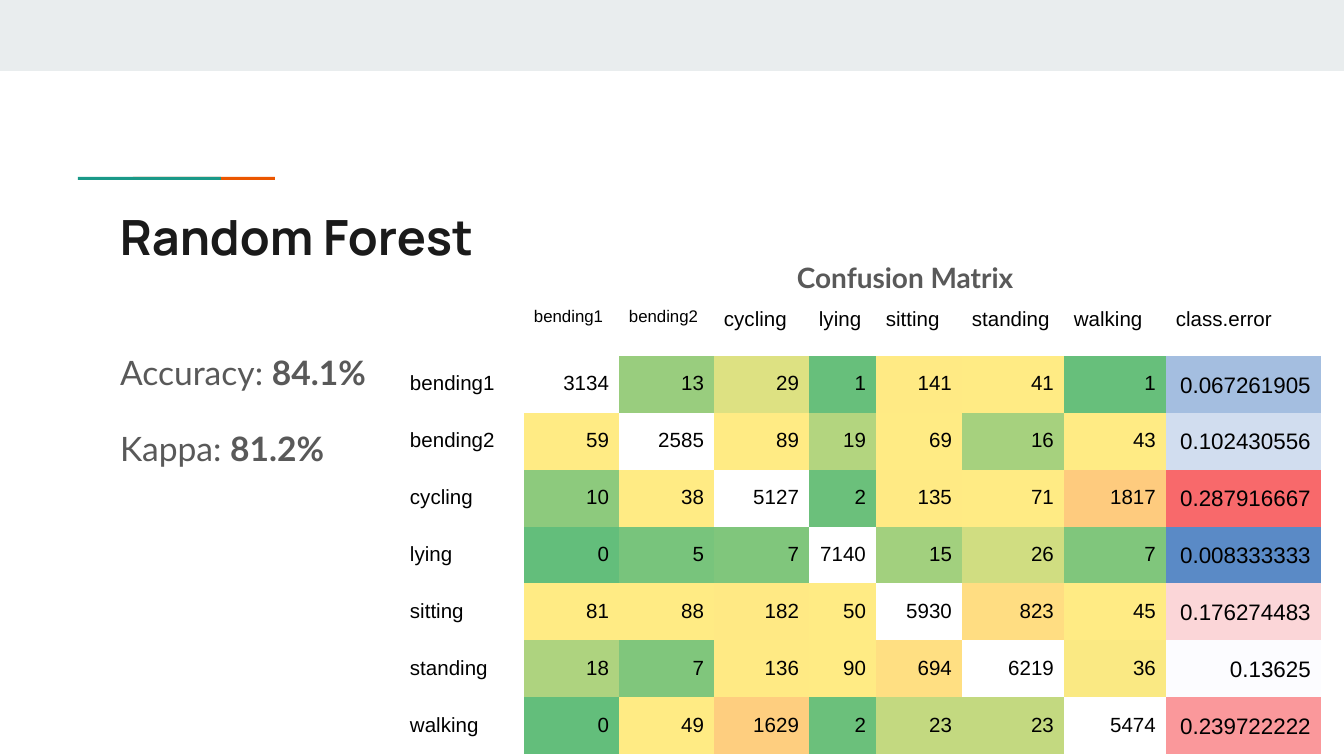
import math
from pptx import Presentation, util as u
from pptx.dml.color import RGBColor
from pptx.enum import shapes, text

SCALE = 914400 / 134.4
COLORS = {"band": "E9EDEE", "teal": "1A9988", "orange": "EB5600", "title": "1A1A1A",
          "body": "595959", "black": "000000", "white": "FFFFFF"}
COUNT_SCALE = [(0, "63BE7B"), (37, "FFEB84"), (7140, "F8696B")]
ERROR_SCALE = [(0.008333333, "5A8AC6"), (0.13625, "FCFCFF"), (0.287916667, "F8696B")]
NO_GRID_STYLE = "{2D5ABB26-0587-4C30-8999-92F81FD0307C}"

ACTIVITIES = ["bending1", "bending2", "cycling", "lying", "sitting", "standing", "walking"]
COUNTS = [
    [3134, 13, 29, 1, 141, 41, 1],
    [59, 2585, 89, 19, 69, 16, 43],
    [10, 38, 5127, 2, 135, 71, 1817],
    [0, 5, 7, 7140, 15, 26, 7],
    [81, 88, 182, 50, 5930, 823, 45],
    [18, 7, 136, 90, 694, 6219, 36],
    [0, 49, 1629, 2, 23, 23, 5474],
]
ERRORS = [0.067261905, 0.102430556, 0.287916667, 0.008333333, 0.176274483, 0.13625, 0.239722222]
COLUMN_WIDTHS = [124, 95, 95, 95, 67, 86, 102, 102, 155]
HEADER_HEIGHT, ROW_HEIGHT = 64, 55


def px(length):
    """Turn picture pixels into EMU."""
    return u.Emu(round(length * SCALE))


def scale_color(value, stops):
    """Blend a three-colour scale at a value."""
    (low, low_hex), (middle, middle_hex), (high, high_hex) = stops
    if value <= middle:
        ratio, start, end, fit = (value - low) / (middle - low), low_hex, middle_hex, math.floor
    else:
        ratio, start, end, fit = (value - middle) / (high - middle), middle_hex, high_hex, math.ceil
    pairs = zip(RGBColor.from_string(start), RGBColor.from_string(end))
    return str(RGBColor(*(fit(a + (b - a) * ratio) for a, b in pairs)))


def set_font(font, name, size, color, bold=None):
    """Set the face, size, colour and weight of a font."""
    font.name, font.size, font.bold = name, u.Pt(size), bold
    font.color.rgb = RGBColor.from_string(COLORS[color])


def add_bar(page, box, color):
    """Add a plain filled rectangle."""
    bar = page.shapes.add_shape(shapes.MSO_SHAPE.RECTANGLE, *map(px, box))
    bar.shadow.inherit = False
    bar.fill.solid()
    bar.fill.fore_color.rgb = RGBColor.from_string(COLORS[color])
    bar.line.fill.background()


def add_text(page, box, lines, name, size, color, spacing=1.0):
    """Add paragraphs made of (text, bold) spans."""
    frame = page.shapes.add_textbox(*map(px, box)).text_frame
    frame.word_wrap = True
    frame.margin_left = frame.margin_right = frame.margin_top = frame.margin_bottom = px(13)
    for index, spans in enumerate(lines):
        para = frame.add_paragraph() if index else frame.paragraphs[0]
        para.line_spacing = spacing
        para.space_before = u.Pt(16 if index else 0)
        set_font(para.font, name, size, color)
        for words, bold in spans:
            span = para.add_run()
            span.text, span.font.bold = words, bold


def add_accent(page, left, top):
    """Add the two-colour accent line above the title."""
    add_bar(page, (left + 55, top, 142, 3), "orange")
    add_bar(page, (left, top, 143, 3), "teal")


def fill_cell(cell, words, size, fill=None, right=False):
    """Write one table cell and colour it."""
    cell.margin_left = cell.margin_right = px(10)
    cell.margin_top = cell.margin_bottom = px(13)
    if fill:
        cell.fill.solid()
        cell.fill.fore_color.rgb = RGBColor.from_string(fill)
    else:
        cell.fill.background()
    para = cell.text_frame.paragraphs[0]
    para.text = words
    para.line_spacing = 1.15
    para.alignment = text.PP_ALIGN.RIGHT if right else text.PP_ALIGN.LEFT
    set_font(para.font, "Arial", size, "black")


def add_matrix(page, left, top):
    """Add the confusion matrix with its error column."""
    heights = [HEADER_HEIGHT] + [ROW_HEIGHT] * len(ACTIVITIES)
    frame = page.shapes.add_table(len(heights), len(COLUMN_WIDTHS), px(left), px(top),
                                  px(sum(COLUMN_WIDTHS)), px(sum(heights)))
    table = frame.table
    table.first_row = table.horz_banding = False
    table._tbl.tblPr[0].text = NO_GRID_STYLE
    for column, width in zip(table.columns, COLUMN_WIDTHS):
        column.width = px(width)
    for row, height in zip(table.rows, heights):
        row.height = px(height)
    for index, label in enumerate(["", *ACTIVITIES, "class.error"]):
        fill_cell(table.cell(0, index), label, 9 if index < 3 else 11)
    for row, (label, counts, error) in enumerate(zip(ACTIVITIES, COUNTS, ERRORS), 1):
        fill_cell(table.cell(row, 0), label, 11)
        for column, count in enumerate(counts, 1):
            fill = COLORS["white"] if row == column else scale_color(count, COUNT_SCALE)
            fill_cell(table.cell(row, column), str(count), 11, fill, True)
        fill_cell(table.cell(row, len(counts) + 1), str(error), 12,
                  scale_color(error, ERROR_SCALE), True)


def build_result_page(page, width):
    """Place the heading, scores and matrix on the page."""
    add_bar(page, (0, 0, width, 71), "band")
    add_accent(page, 78, 177)
    add_text(page, (107, 194, 1130, 79), [[("Random Forest", True)]], "Manrope", 26, "title")
    scores = [[("Accuracy: ", False), ("84.1%", True)], [("Kappa: ", False), ("81.2%", True)]]
    add_text(page, (107, 333, 290, 304), scores, "Lato", 18, "body", 1.15)
    add_text(page, (784, 242, 323, 55), [[("Confusion Matrix", True)]], "Lato", 15, "body", 1.15)
    add_matrix(page, 400, 292)


deck = Presentation()
deck.slide_width, deck.slide_height = px(1344), px(756)
build_result_page(deck.slides.add_slide(deck.slide_layouts[6]), 1344)
deck.save("out.pptx")
